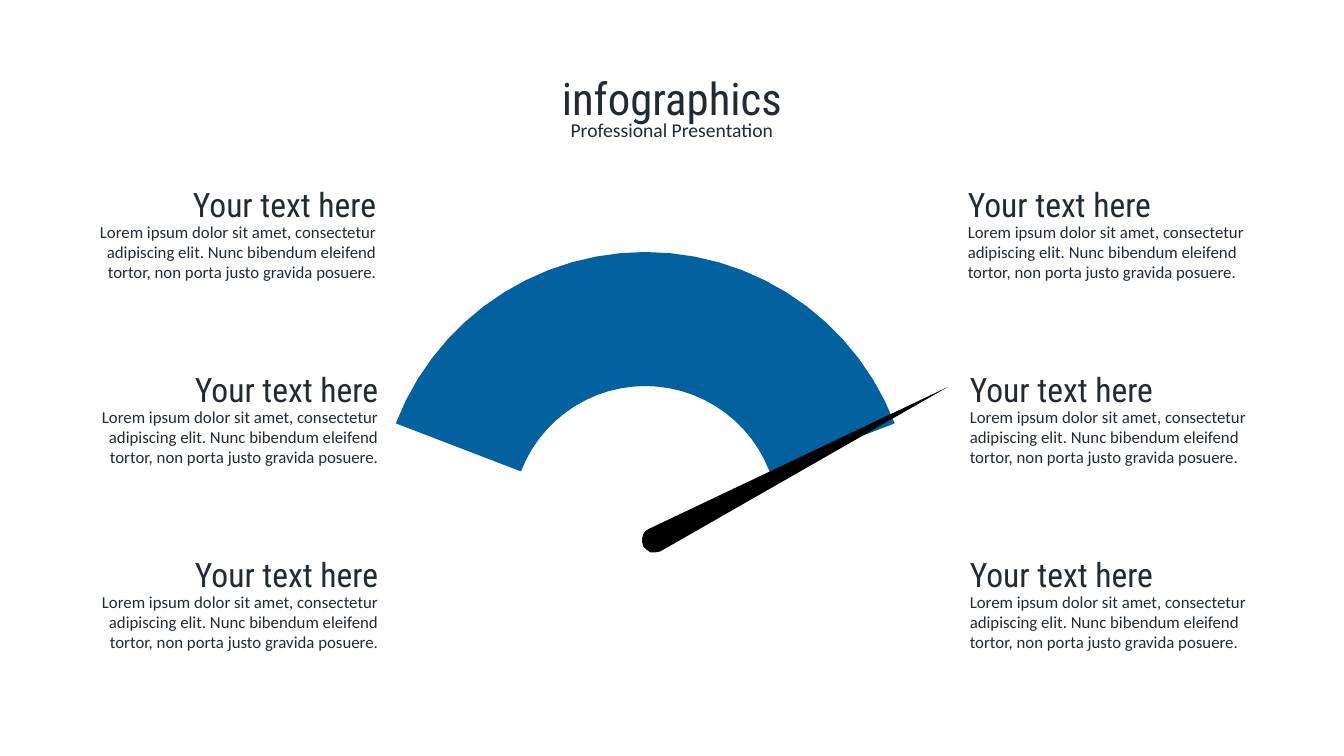
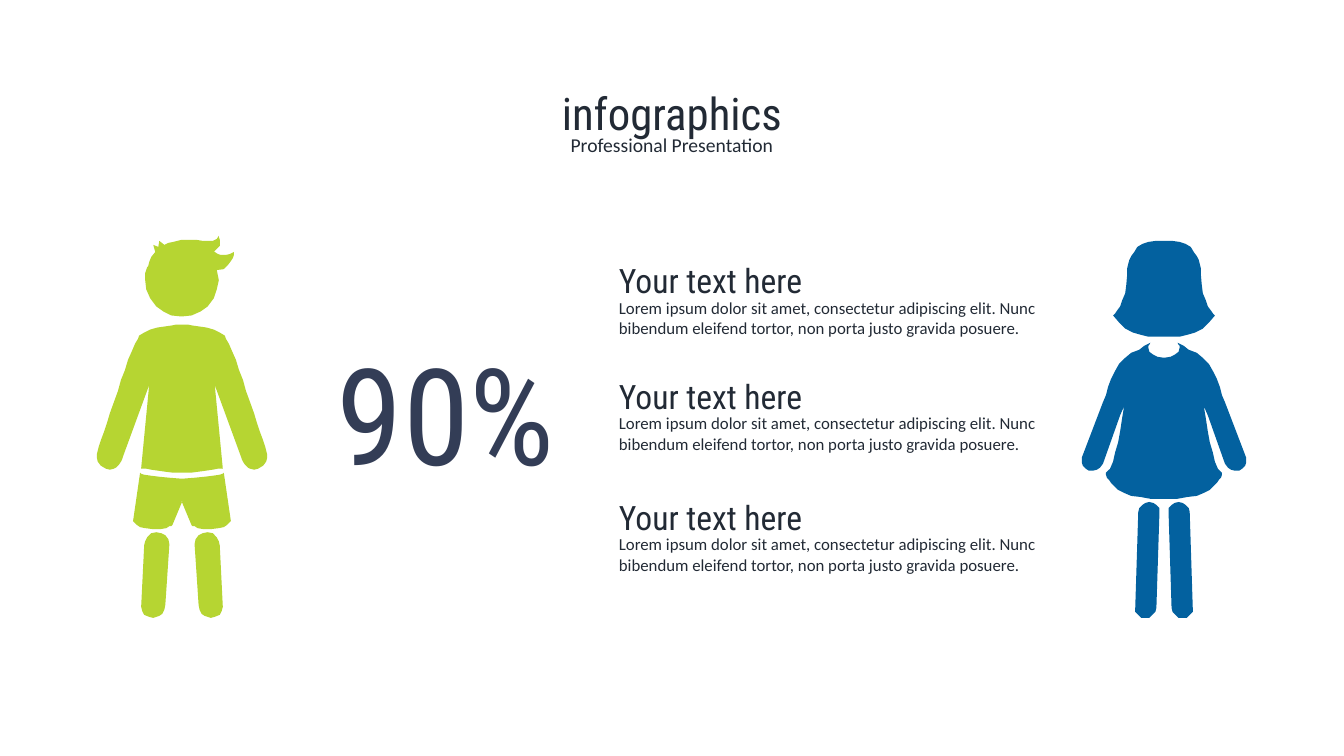
from dataclasses import dataclass
from math import cos, radians, sin

from pptx import Presentation
from pptx.dml.color import RGBColor as RGB
from pptx.enum.text import MSO_AUTO_SIZE as Fit, PP_ALIGN as Align
from pptx.util import Inches, Pt


@dataclass(frozen=True)
class Theme:
    """Colours, fonts and type sizes of the deck."""
    blue: str = "03619F"
    green: str = "B6D532"
    black: str = "000000"
    ink: str = "222A35"
    navy: str = "333D56"
    head: str = "Roboto Condensed"
    body: str = "Calibri"
    title: int = 32
    sub: int = 14
    item: int = 24
    note: int = 12
    huge: int = 96


T = Theme()
LOREM = ("Lorem ipsum dolor sit amet, consectetur adipiscing elit. "
         "Nunc bibendum eleifend tortor, non porta justo gravida posuere.")

NEEDLE = [(9.4, 3.84), (6.55, 5.47), (6.5, 5.48), (6.45, 5.48), (6.41, 5.45),
          (6.38, 5.42), (6.37, 5.38), (6.37, 5.34), (6.38, 5.3), (6.4, 5.27),
          (6.43, 5.25)]

BOY_SUM = 3.61
BOY_HEAD = [(2.17, 2.34), (2.17, 2.35), (2.18, 2.38), (2.18, 2.44),
            (2.15, 2.47), (2.12, 2.5), (2.13, 2.5), (2.16, 2.52),
            (2.19, 2.53), (2.24, 2.53), (2.28, 2.52), (2.32, 2.5),
            (2.32, 2.53), (2.31, 2.56), (2.29, 2.59), (2.26, 2.63),
            (2.22, 2.67), (2.15, 2.68), (2.17, 2.78), (2.15, 2.87),
            (2.12, 2.96), (2.06, 3.04), (1.99, 3.09), (1.9, 3.13),
            (1.8, 3.14), (1.7, 3.13), (1.62, 3.09), (1.55, 3.04),
            (1.49, 2.96), (1.45, 2.87), (1.44, 2.78), (1.44, 2.71),
            (1.46, 2.65), (1.47, 2.64), (1.48, 2.6), (1.5, 2.55),
            (1.54, 2.5), (1.52, 2.43), (1.57, 2.45), (1.58, 2.39),
            (1.63, 2.43), (1.67, 2.41), (1.72, 2.4), (1.8, 2.38),
            (1.88, 2.38), (1.95, 2.38), (2.01, 2.39), (2.06, 2.39),
            (2.11, 2.39), (2.15, 2.37)]
SHIRT = [(1.8, 3.22), (1.86, 3.22), (1.91, 3.23), (1.98, 3.24), (2.05, 3.25),
         (2.12, 3.27), (2.18, 3.3), (2.23, 3.33), (2.24, 3.36), (2.27, 3.41),
         (2.3, 3.48), (2.34, 3.57), (2.37, 3.67), (2.41, 3.77), (2.44, 3.88),
         (2.48, 3.99), (2.52, 4.1), (2.55, 4.2), (2.58, 4.29), (2.61, 4.37),
         (2.63, 4.43), (2.64, 4.47), (2.65, 4.51), (2.65, 4.54), (2.64, 4.58),
         (2.61, 4.62), (2.56, 4.65), (2.52, 4.66), (2.48, 4.65), (2.46, 4.64),
         (2.43, 4.61), (2.41, 4.58), (2.4, 4.56), (2.39, 4.53), (2.13, 3.82),
         (2.21, 4.65), (2.16, 4.65), (2.11, 4.66), (2.04, 4.67), (1.97, 4.68),
         (1.89, 4.69), (1.8, 4.69)]
SHORTS = [(1.8, 4.75), (1.93, 4.74), (2.03, 4.73), (2.11, 4.72), (2.18, 4.71),
          (2.21, 4.7), (2.22, 4.69), (2.29, 5.17), (2.27, 5.19), (2.25, 5.21),
          (2.22, 5.23), (2.17, 5.24), (2.09, 5.25), (2.02, 5.25),
          (1.96, 5.24), (1.93, 5.22), (1.91, 5.22), (1.9, 5.21), (1.8, 4.97)]
BOY_LEG = [(1.55, 5.28), (1.6, 5.29), (1.64, 5.31), (1.67, 5.35), (1.68, 5.4),
           (1.64, 6), (1.63, 6.05), (1.61, 6.09), (1.58, 6.11), (1.52, 6.13),
           (1.48, 6.12), (1.43, 6.1), (1.41, 6.06), (1.4, 6.02), (1.43, 5.41),
           (1.44, 5.37), (1.46, 5.33), (1.5, 5.29)]

GIRL_SUM = 23.09
HAIR = [(11.54, 2.39), (11.63, 2.39), (11.7, 2.4), (11.76, 2.42),
        (11.81, 2.45), (11.84, 2.5), (11.87, 2.54), (11.89, 2.58),
        (11.9, 2.62), (11.91, 2.66), (11.91, 2.72), (11.92, 2.83),
        (11.93, 2.91), (11.96, 2.98), (11.98, 3.04), (12.01, 3.08),
        (12.03, 3.11), (12.05, 3.13), (11.99, 3.2), (11.93, 3.26),
        (11.85, 3.3), (11.78, 3.32), (11.7, 3.34), (11.54, 3.34)]
DRESS = [(11.54, 3.55), (11.61, 3.54), (11.65, 3.52), (11.69, 3.49),
         (11.7, 3.45), (11.7, 3.43), (11.69, 3.42), (11.68, 3.4),
         (11.74, 3.43), (11.79, 3.47), (11.87, 3.5), (11.93, 3.55),
         (11.99, 3.61), (12.03, 3.68), (12.07, 3.76), (12.1, 3.84),
         (12.12, 3.92), (12.15, 3.99), (12.36, 4.54), (12.36, 4.59),
         (12.35, 4.62), (12.32, 4.65), (12.29, 4.67), (12.25, 4.67),
         (12.21, 4.66), (12.18, 4.64), (12.15, 4.6), (11.98, 4.12),
         (11.94, 4.03), (11.96, 4.15), (11.98, 4.28), (12, 4.39),
         (12.03, 4.49), (12.05, 4.58), (12.08, 4.65), (12.12, 4.69),
         (12.12, 4.71), (12.11, 4.74), (12.09, 4.76), (12.07, 4.79),
         (12.04, 4.82), (12, 4.86), (11.94, 4.89), (11.87, 4.92),
         (11.78, 4.93), (11.67, 4.95), (11.54, 4.95)]
GIRL_LEG = [(11.4, 4.98), (11.44, 4.99), (11.47, 5.01), (11.5, 5.04),
            (11.5, 5.08), (11.47, 6.03), (11.46, 6.07), (11.43, 6.1),
            (11.4, 6.13), (11.36, 6.13), (11.32, 6.13), (11.29, 6.1),
            (11.26, 6.07), (11.26, 6.03), (11.29, 5.08), (11.3, 5.04),
            (11.33, 5.01), (11.36, 4.99)]


def flip(pts, total):
    """Mirror points left to right, where x and its mirror add up to total."""
    return [(total - x, y) for x, y in reversed(pts)]


def whole(half, total):
    """Join a right half to its mirror."""
    return half + flip(half, total)


def arc(rad, mid=(6.4, 5.15), start=21, steps=26):
    """Give points of an upright arc from right to left."""
    turn = (180 - 2 * start) / steps
    angles = [radians(start + turn * i) for i in range(steps + 1)]
    return [(mid[0] + rad * cos(a), mid[1] - rad * sin(a)) for a in angles]


def draw(slide, pts, color):
    """Add a closed filled outline."""
    pts = [(Inches(x), Inches(y)) for x, y in pts]
    pen = slide.shapes.build_freeform(*pts[0])
    pen.add_line_segments(pts[1:], close=True)
    shape = pen.convert_to_shape()
    shape.shadow.inherit = False
    shape.fill.solid()
    shape.fill.fore_color.rgb = RGB.from_string(color)
    shape.line.fill.background()


def write(slide, text, at, size, face, align=Align.LEFT, color=T.ink):
    """Add a text box with one run."""
    frame = slide.shapes.add_textbox(*map(Inches, at)).text_frame
    frame.word_wrap = True
    frame.auto_size = Fit.SHAPE_TO_FIT_TEXT
    para = frame.paragraphs[0]
    para.alignment = align
    run = para.add_run()
    run.text = text
    run.font.size = Pt(size)
    run.font.name = face
    run.font.color.rgb = RGB.from_string(color)


def title(slide, top):
    """Add the centred title and subtitle."""
    write(slide, "infographics", (0.88, top, 11.57, 0.64),
          T.title, T.head, Align.CENTER)
    write(slide, "Professional Presentation", (0.88, top + 0.47, 11.57, 0.34),
          T.sub, T.body, Align.CENTER)


def item(slide, left, top, width, high, align=Align.LEFT):
    """Add a heading with its note below."""
    write(slide, LOREM, (left, top + 0.37, width, high),
          T.note, T.body, align)
    write(slide, "Your text here", (left, top, width, 0.5),
          T.item, T.head, align)


def gauge(slide):
    """Build the gauge slide."""
    draw(slide, arc(2.65) + arc(1.32)[::-1], T.blue)
    draw(slide, NEEDLE, T.black)
    for left, align in ((9.52, Align.LEFT), (0.64, Align.RIGHT)):
        for row in range(3):
            shift = 0 if row else 0.02
            item(slide, left - shift, 1.78 + 1.835 * row, 3.21, 0.71, align)
    title(slide, 0.65)


def kids(slide):
    """Build the slide with the boy and the girl."""
    boy = [whole(SHIRT, BOY_SUM), BOY_HEAD, whole(SHORTS, BOY_SUM),
           BOY_LEG, flip(BOY_LEG, BOY_SUM)]
    girl = [whole(HAIR, GIRL_SUM), GIRL_LEG, flip(GIRL_LEG, GIRL_SUM),
            whole(DRESS, GIRL_SUM)]
    for parts, color in ((boy, T.green), (girl, T.blue)):
        for pts in parts:
            draw(slide, pts, color)
    for top in (2.53, 3.68, 4.88):
        item(slide, 6.04, top, 4.67, 0.5)
    write(slide, "90%", (3.12, 3.24, 2.6, 1.72),
          T.huge, T.head, Align.CENTER, T.navy)
    title(slide, 0.8)


def main():
    """Build and save the deck."""
    deck = Presentation()
    deck.slide_width, deck.slide_height = Inches(13.33), Inches(7.5)
    for build in (gauge, kids):
        build(deck.slides.add_slide(deck.slide_layouts[6]))
    deck.save("out.pptx")


if __name__ == "__main__":
    main()
